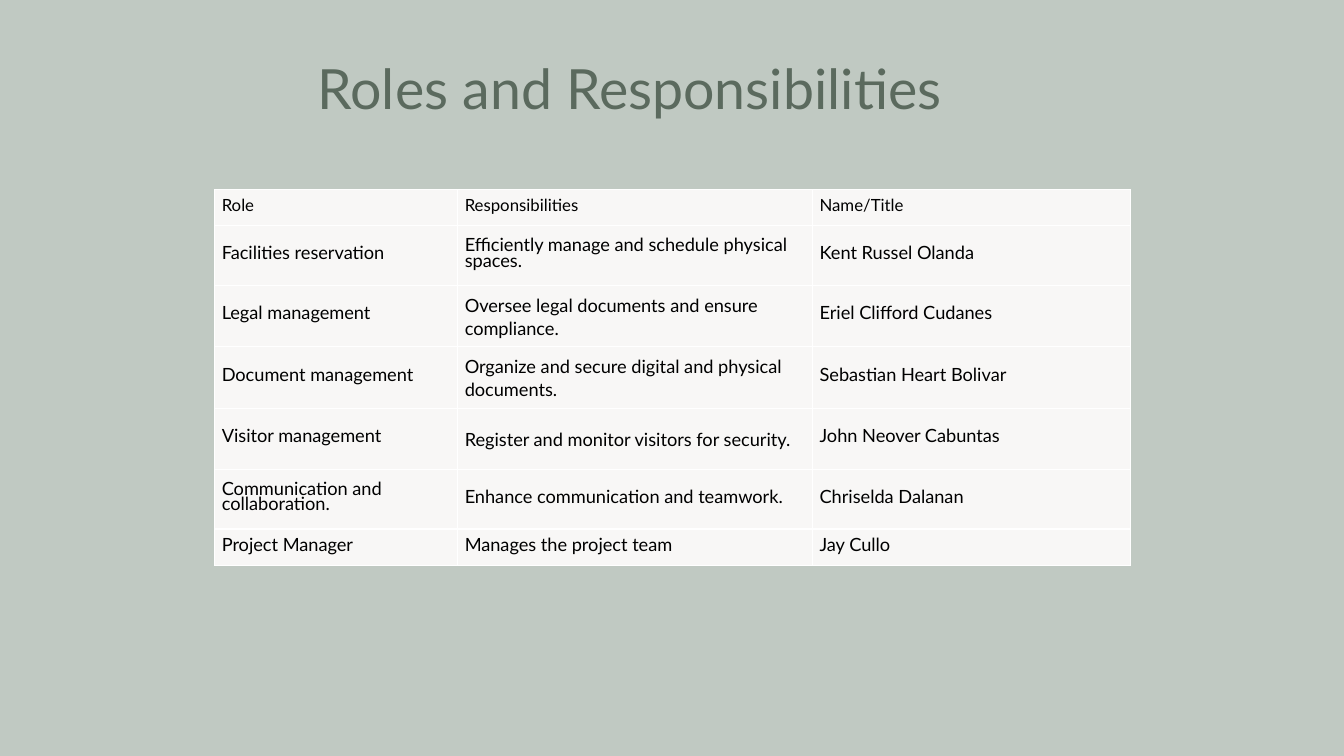
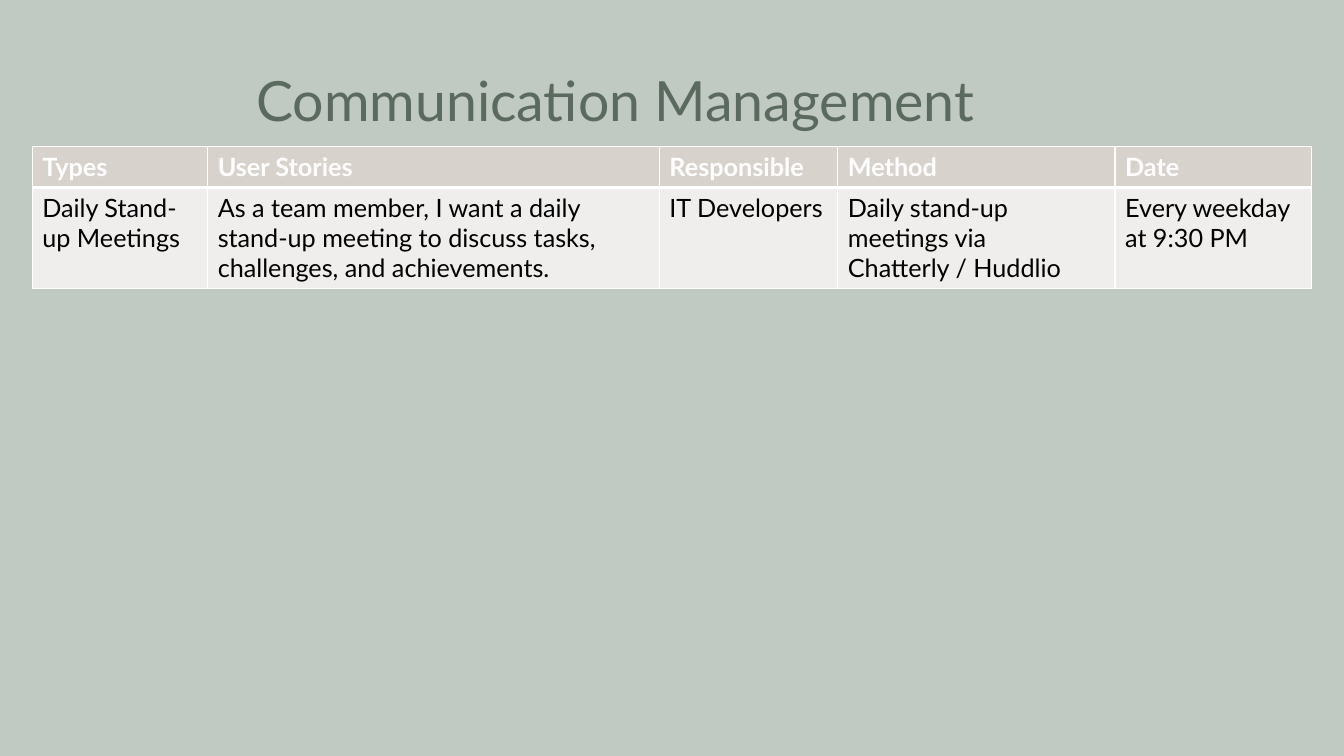
from lxml import etree
from pptx import Presentation
from pptx.dml.color import RGBColor
from pptx.enum.text import MSO_ANCHOR, MSO_AUTO_SIZE, PP_ALIGN
from pptx.oxml.ns import qn
from pptx.util import Emu, Pt

PX = 9144
FONT = "Lato"
COLORS = {
    "background": "C0C9C2",
    "title": "5B6A5E",
    "text": "000000",
    "border": "FFFFFF",
    "role_fill": "F8F7F6",
    "header_fill": "D8D2CD",
    "header_text": "FFFFFF",
    "body_fill": "F0EEED",
}

ROLES = [
    ("Role", "Responsibilities", "Name/Title"),
    ("Facilities reservation", "Efficiently manage and schedule physical spaces.", "Kent Russel Olanda"),
    ("Legal management", "Oversee legal documents and ensure compliance.", "Eriel Clifford Cudanes"),
    ("Document management", "Organize and secure digital and physical documents.", "Sebastian Heart Bolivar"),
    ("Visitor management", "Register and monitor visitors for security.", "John Neover Cabuntas"),
    ("Communication and collaboration.", "Enhance communication and teamwork.", "Chriselda Dalanan"),
    ("Project Manager", "Manages the project team", "Jay Cullo"),
]
LOOSE_ROWS = (2, 3, 4)

MEETINGS = [
    ("Types", "User Stories", "Responsible", "Method", "Date"),
    (
        "Daily Stand-up Meetings",
        "As a team member, I want a daily stand-up meeting to discuss tasks, challenges, and achievements.",
        "IT Developers",
        "Daily stand-up meetings via Chatterly / Huddlio",
        "Every weekday at 9:30 PM",
    ),
]


def px(length):
    return Emu(length * PX)


def rgb(name):
    return RGBColor.from_string(COLORS[name])


def write_text(text_frame, text, size, color="text", bold=False, line_spacing=None, space_after=None):
    paragraph = text_frame.paragraphs[0]
    paragraph.alignment = PP_ALIGN.LEFT
    paragraph.line_spacing = line_spacing
    paragraph.space_after = space_after
    run = paragraph.add_run()
    run.text = text
    run.font.name = FONT
    run.font.size = Pt(size)
    run.font.bold = bold
    run.font.color.rgb = rgb(color)


def style_cell(cell, fill, top=1, bottom=1):
    properties = cell._tc.get_or_add_tcPr()
    for side, width in (("L", 1), ("R", 1), ("T", top), ("B", bottom)):
        line = etree.SubElement(properties, qn(f"a:ln{side}"), w=str(Pt(width)))
        solid = etree.SubElement(line, qn("a:solidFill"))
        etree.SubElement(solid, qn("a:srgbClr"), val=COLORS["border"])
    cell.fill.solid()
    cell.fill.fore_color.rgb = rgb(fill)


def add_titled_slide(presentation, title, left, top, width, height):
    slide = presentation.slides.add_slide(presentation.slide_layouts[5])
    shape = slide.shapes.title
    shape.left, shape.top, shape.width, shape.height = map(px, (left, top, width, height))
    text_frame = shape.text_frame
    text_frame.auto_size = MSO_AUTO_SIZE.NONE
    text_frame.vertical_anchor = MSO_ANCHOR.MIDDLE
    write_text(text_frame, title, 39.6, color="title", line_spacing=0.9)
    return slide


def add_grid(slide, left, top, column_widths, row_heights):
    table = slide.shapes.add_table(
        len(row_heights), len(column_widths),
        px(left), px(top), px(sum(column_widths)), px(sum(row_heights)),
    ).table
    table.first_row = False
    table.horz_banding = False
    for column, width in zip(table.columns, column_widths):
        column.width = px(width)
    for row, height in zip(table.rows, row_heights):
        row.height = px(height)
    return table


def add_roles_table(slide, left, top):
    table = add_grid(slide, left, top, (241, 352, 315), (36, 59, 61, 61, 61, 59, 36))
    for row_index, row in enumerate(ROLES):
        for column_index, text in enumerate(row):
            cell = table.cell(row_index, column_index)
            style_cell(cell, "role_fill")
            cell.vertical_anchor = MSO_ANCHOR.MIDDLE
            cell.margin_left = cell.margin_right = px(7)
            cell.margin_top = cell.margin_bottom = px(7)
            loose = column_index == 1 and row_index in LOOSE_ROWS
            write_text(
                cell.text_frame, text, 12 if row_index == 0 else 13,
                line_spacing=1.07 if loose else Pt(11),
                space_after=Pt(8) if loose else None,
            )


def add_meetings_table(slide, left, top):
    table = add_grid(slide, left, top, (174, 448, 177, 275, 195), (41, 100))
    for column_index, (heading, detail) in enumerate(zip(*MEETINGS)):
        header = table.cell(0, column_index)
        style_cell(header, "header_fill", bottom=3)
        write_text(header.text_frame, heading, 18, color="header_text", bold=True)
        body = table.cell(1, column_index)
        style_cell(body, "body_fill", top=3)
        write_text(body.text_frame, detail, 18)


def main():
    presentation = Presentation()
    presentation.slide_width = px(1333)
    presentation.slide_height = px(750)
    background = presentation.slide_master.background.fill
    background.solid()
    background.fore_color.rgb = rgb("background")

    roles_slide = add_titled_slide(presentation, "Roles and Responsibilities", 305, 55, 722, 72)
    add_roles_table(roles_slide, 213, 188)

    meetings_slide = add_titled_slide(presentation, "Communication Management", 244, 67, 845, 72)
    add_meetings_table(meetings_slide, 32, 145)

    presentation.save("out.pptx")


if __name__ == "__main__":
    main()
